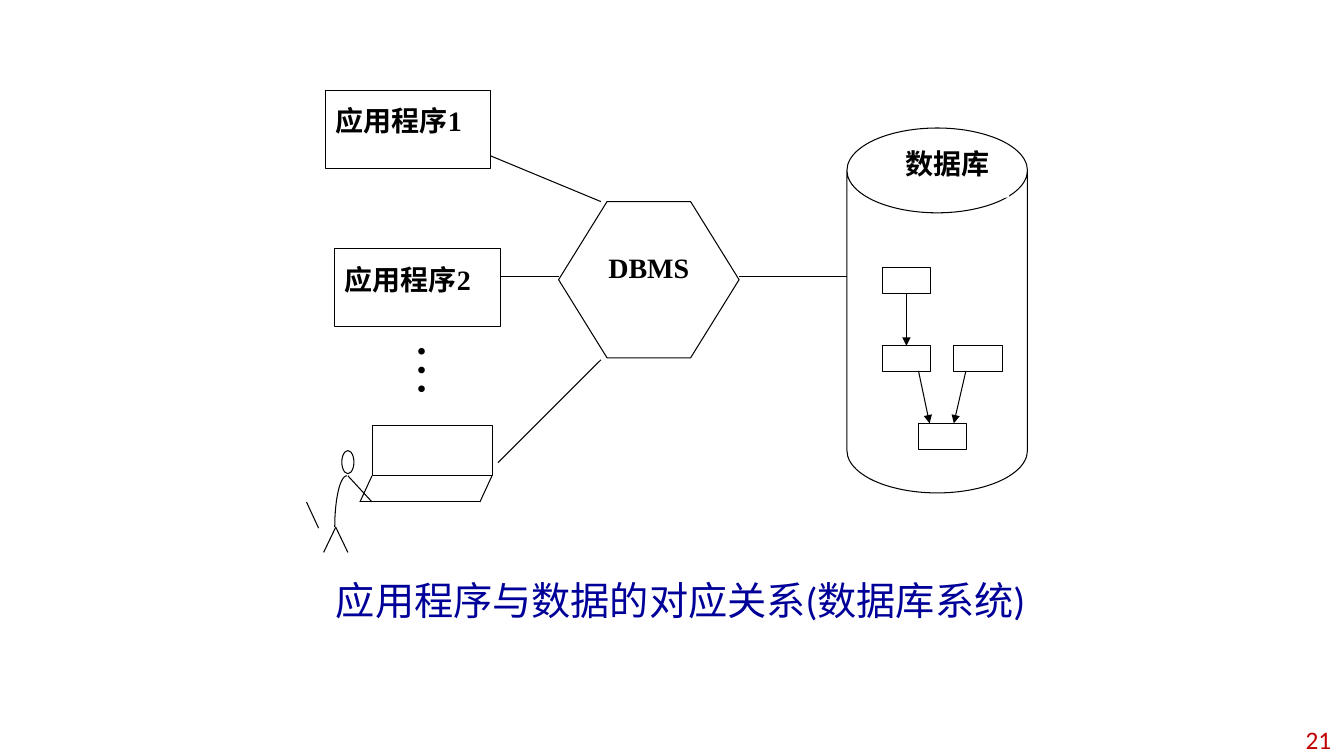
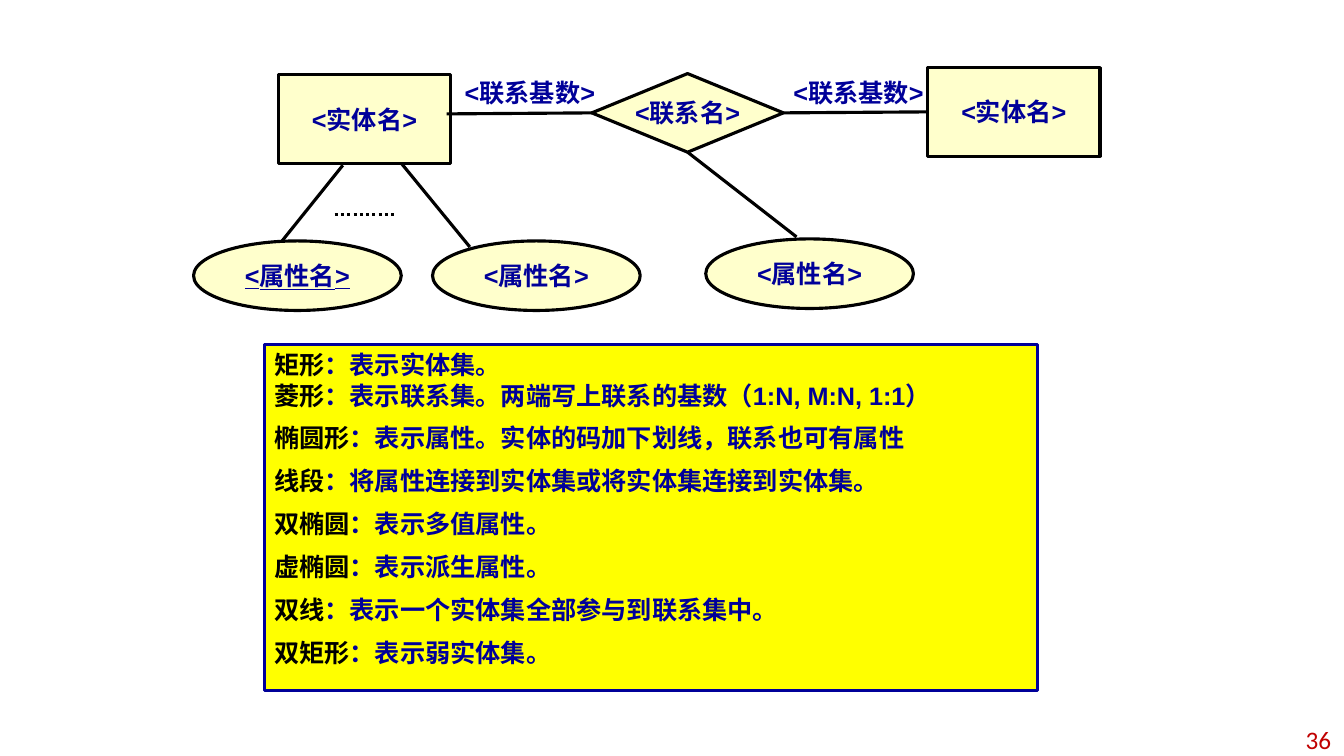
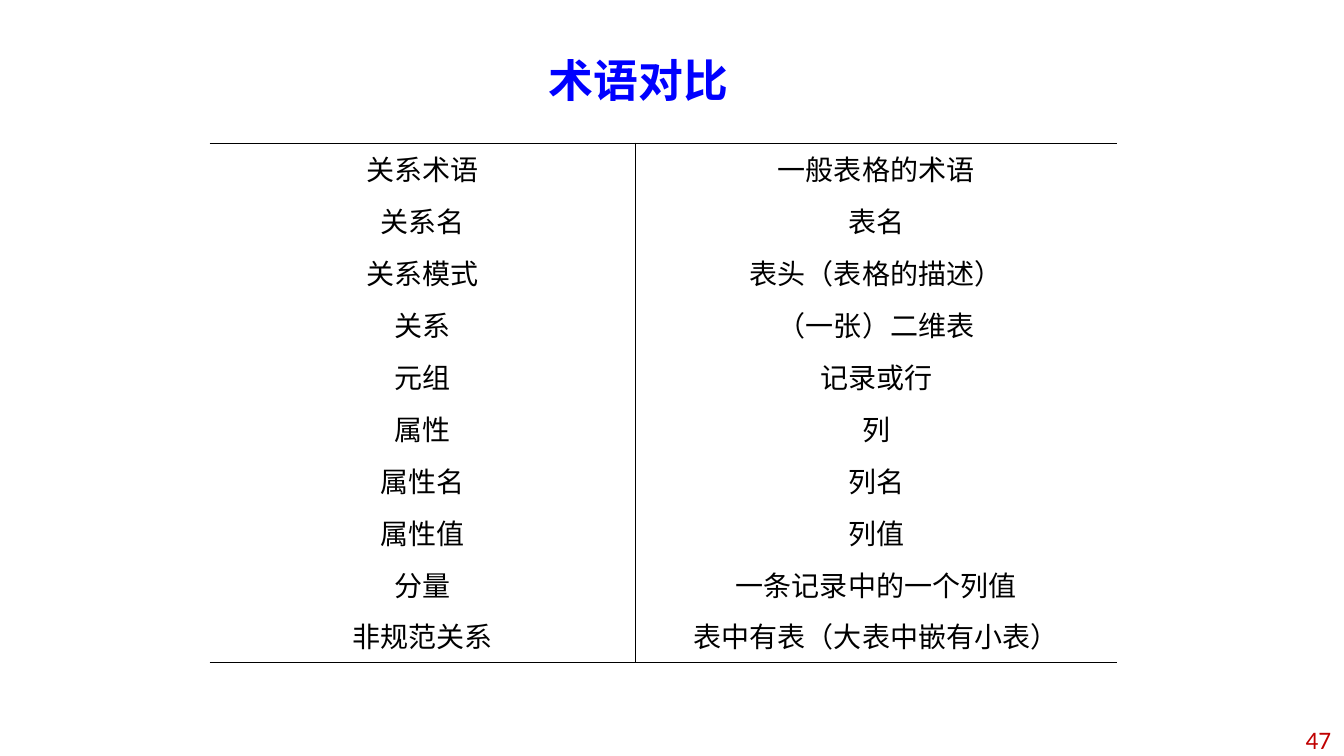
from math import cos, pi, sin

from pptx import Presentation
from pptx.dml.color import RGBColor
from pptx.enum.dml import MSO_LINE
from pptx.enum.lang import MSO_LANGUAGE_ID
from pptx.enum.shapes import MSO_CONNECTOR, MSO_SHAPE
from pptx.enum.text import MSO_ANCHOR, PP_ALIGN
from pptx.oxml.ns import qn
from pptx.oxml.xmlchemy import OxmlElement
from pptx.util import Inches, Pt

COLORS = {
    "black": "000000",
    "white": "FFFFFF",
    "navy": "000099",
    "blue": "0000FF",
    "red": "C00000",
    "cream": "FFFFCC",
    "yellow": "FFFF00",
}
SERIF, SANS, BODY = "Times New Roman", "Arial", "Calibri"
THIN, THICK = 0.75, 2.25
TITLE_ONLY, BLANK = 5, 6
TOP, LEFT, BOTTOM, RIGHT = range(4)

SYMBOLS = [
    [("矩形", "：表示实体集。"), ("菱形", "：表示联系集。两端写上联系的基数（1:N, M:N, 1:1）")],
    [("椭圆形", "：表示属性。实体的码加下划线，联系也可有属性")],
    [("线段", "：将属性连接到实体集或将实体集连接到实体集。")],
    [("双椭圆", "：表示多值属性。")],
    [("虚椭圆", "：表示派生属性。")],
    [("双线", "：表示一个实体集全部参与到联系集中。")],
    [("双矩形", "：表示弱实体集。")],
]
TERMS = [
    ("关系术语", "一般表格的术语"),
    ("关系名", "表名"),
    ("关系模式", "表头（表格的描述）"),
    ("关系", "（一张）二维表"),
    ("元组", "记录或行"),
    ("属性", "列"),
    ("属性名", "列名"),
    ("属性值", "列值"),
    ("分量", "一条记录中的一个列值"),
    ("非规范关系", "表中有表（大表中嵌有小表）"),
]


def rgb(name):
    """Return a palette colour."""
    return RGBColor.from_string(COLORS[name])


def add_span(para, text, size, font, color, bold=False, underline=None):
    """Append one formatted run to a paragraph."""
    span = para.add_run()
    span.text = text
    span.font.size = Pt(size)
    span.font.name = font
    span.font.color.rgb = rgb(color)
    span.font.bold = bold
    span.font.underline = underline
    span.font.language_id = MSO_LANGUAGE_ID.SIMPLIFIED_CHINESE


def set_frame(box, anchor=MSO_ANCHOR.TOP, wrap=True, margins=(0.1, 0.05, 0.1, 0.05)):
    """Set the anchor, wrapping and margins of a text frame and return it."""
    frame = box.text_frame
    frame.word_wrap = wrap
    frame.vertical_anchor = anchor
    frame.margin_left, frame.margin_top, frame.margin_right, frame.margin_bottom = map(Inches, margins)
    return frame


def write_line(frame, align, text, *style, **options):
    """Write a single aligned line in a text frame."""
    para = frame.paragraphs[0]
    para.alignment = align
    add_span(para, text, *style, **options)


def add_text(page, area, align, text, *style, anchor=MSO_ANCHOR.TOP, **options):
    """Add a text box with one paragraph."""
    box = page.shapes.add_textbox(*map(Inches, area))
    write_line(set_frame(box, anchor), align, text, *style, **options)
    return box


def add_box(page, kind, area, fill="white", line="black", weight=THIN):
    """Add a filled preset shape with an optional outline."""
    box = page.shapes.add_shape(kind, *map(Inches, area))
    box.shadow.inherit = False
    box.fill.solid()
    box.fill.fore_color.rgb = rgb(fill)
    if line:
        box.line.color.rgb = rgb(line)
        box.line.width = Pt(weight)
    else:
        box.line.fill.background()
    return box


def add_line(page, start, end, weight=THIN, arrow=False):
    """Add a straight black connector between two points."""
    line = page.shapes.add_connector(MSO_CONNECTOR.STRAIGHT, *map(Inches, (*start, *end)))
    line.line.color.rgb = rgb("black")
    line.line.width = Pt(weight)
    if arrow:
        tail = OxmlElement("a:tailEnd")
        tail.set("type", "triangle")
        line.line._get_or_add_ln().append(tail)
    line.element.spPr.append(OxmlElement("a:effectLst"))
    return line


def add_page(deck, layout, number):
    """Add a slide with its page number."""
    page = deck.slides.add_slide(deck.slide_layouts[layout])
    add_text(page, (10.19, 7.2, 3.11, 0.27), PP_ALIGN.RIGHT, number, 18, BODY, "red",
             anchor=MSO_ANCHOR.MIDDLE)
    return page


def set_title(page, area, text, *style, **options):
    """Place and format the title placeholder."""
    title = page.shapes.title
    title.left, title.top, title.width, title.height = map(Inches, area)
    write_line(set_frame(title), PP_ALIGN.CENTER, text, *style, **options)


def add_user(page):
    """Draw a person working at a terminal."""
    add_box(page, MSO_SHAPE.RECTANGLE, (3.69, 4.22, 1.19, 0.5))
    add_box(page, MSO_SHAPE.FLOWCHART_CONNECTOR, (3.39, 4.47, 0.12, 0.23))
    for start, end in [
        ((2.92, 5.5), (2.92, 5.5)),
        ((3.04, 4.98), (3.16, 5.24)),
        ((3.69, 4.72), (3.57, 4.98)),
        ((4.88, 4.72), (4.76, 4.98)),
        ((3.57, 4.98), (4.76, 4.98)),
        ((3.33, 5.23), (3.45, 5.48)),
        ((3.33, 5.23), (3.21, 5.48)),
        ((3.45, 4.72), (3.69, 4.98)),
    ]:
        add_line(page, start, end)
    steps = 16
    angles = [pi / 2 * step / steps for step in range(steps + 1)]
    points = [(Inches(3.44 - 0.12 * sin(angle)), Inches(5.23 - 0.51 * cos(angle))) for angle in angles]
    builder = page.shapes.build_freeform(*points[0])
    builder.add_line_segments(points[1:], close=False)
    back = builder.convert_to_shape()
    back.shadow.inherit = False
    back.fill.background()
    back.line.color.rgb = rgb("black")
    back.line.width = Pt(THIN)


def add_database(page):
    """Draw the database cylinder and its linked records."""
    can = add_box(page, MSO_SHAPE.CAN, (8.4, 1.27, 1.79, 3.62))
    can.adjustments[0] = 0.47
    label = add_box(page, MSO_SHAPE.RECTANGLE, (8.78, 1.45, 1.23, 0.51), line=None)
    write_line(set_frame(label, margins=(0, 0, 0, 0)), PP_ALIGN.CENTER, "数据库", 20, SERIF, "black", bold=True)
    places = [(8.75, 2.65), (8.75, 3.43), (9.46, 3.43), (9.11, 4.2)]
    records = [add_box(page, MSO_SHAPE.RECTANGLE, (*place, 0.48, 0.26)) for place in places]
    link = add_line(page, (8.99, 2.91), (8.99, 3.43), arrow=True)
    link.begin_connect(records[0], BOTTOM)
    link.end_connect(records[1], TOP)
    add_line(page, (9.11, 3.68), (9.22, 4.2), arrow=True)
    add_line(page, (9.58, 3.68), (9.46, 4.2), arrow=True)


def build_system(deck):
    """Build the slide on applications and data."""
    page = add_page(deck, TITLE_ONLY, "21")
    set_title(page, (3.19, 5.67, 7.12, 1.05), "应用程序与数据的对应关系(数据库系统)", 28, BODY, "navy")
    add_user(page)
    hexagon = add_box(page, MSO_SHAPE.HEXAGON, (5.54, 2, 1.79, 1.55))
    hexagon.adjustments[0] = 0.31
    write_line(set_frame(hexagon, margins=(0, 0.21, 0, 0.05)), PP_ALIGN.CENTER,
               "DBMS", 20, SERIF, "black", bold=True)
    add_database(page)
    for start, end in [
        ((7.33, 2.74), (8.4, 2.74)),
        ((4.85, 1.54), (5.96, 2)),
        ((4.94, 2.74), (5.54, 2.74)),
        ((4.94, 4.59), (5.96, 3.57)),
    ]:
        add_line(page, start, end)
    for left, top, name in [(3.23, 0.9, "应用程序1"), (3.32, 2.47, "应用程序2")]:
        program = add_box(page, MSO_SHAPE.RECTANGLE, (left, top, 1.64, 0.77))
        write_line(set_frame(program, margins=(0.1, 0.13, 0.1, 0.05)), PP_ALIGN.LEFT,
                   name, 20, SERIF, "black", bold=True)
    dots = add_text(page, (3.86, 3.3, 0.91, 1.07), PP_ALIGN.LEFT, "…", 40, SERIF, "black")
    dots.text_frame._txBody.find(qn("a:bodyPr")).set("vert", "eaVert")


def add_symbol(page, kind, area, text, underline=None):
    """Add a labelled symbol of the entity-relationship diagram."""
    box = add_box(page, kind, area, "cream", weight=THICK)
    write_line(set_frame(box, MSO_ANCHOR.MIDDLE, wrap=False), PP_ALIGN.CENTER,
               text, 18, SANS, "navy", bold=True, underline=underline)
    return box


def add_legend(page):
    """Add the panel that explains each symbol."""
    panel = add_box(page, MSO_SHAPE.RECTANGLE, (2.62, 3.42, 7.67, 3.43), "yellow", "navy", THICK)
    frame = set_frame(panel)
    for index, entries in enumerate(SYMBOLS):
        para = frame.add_paragraph() if index else frame.paragraphs[0]
        para.alignment = PP_ALIGN.LEFT
        if index:
            para.space_before = Pt(9)
        for position, (symbol, meaning) in enumerate(entries):
            if position:
                para.add_line_break()
            add_span(para, symbol, 18, SANS, "black", bold=True)
            add_span(para, meaning, 18, SANS, "navy", bold=True)


def build_diagram(deck):
    """Build the slide on the symbols of the diagram."""
    page = add_page(deck, BLANK, "36")
    add_legend(page)
    add_symbol(page, MSO_SHAPE.RECTANGLE, (2.76, 0.74, 1.71, 0.88), "<实体名>")
    entity = add_symbol(page, MSO_SHAPE.RECTANGLE, (9.2, 0.67, 1.71, 0.88), "<实体名>")
    relation = add_symbol(page, MSO_SHAPE.FLOWCHART_DECISION, (5.87, 0.73, 1.9, 0.78), "<联系名>")
    for left, top, underline in [(1.92, 2.39, True), (4.29, 2.39, None), (7, 2.37, None)]:
        add_symbol(page, MSO_SHAPE.OVAL, (left, top, 2.06, 0.69), "<属性名>", underline)
    for left in (4.51, 7.77):
        add_text(page, (left, 0.72, 1.49, 0.36), PP_ALIGN.CENTER, "<联系基数>", 18, SANS, "navy", bold=True)
    add_line(page, (4.43, 1.13), (5.87, 1.13), THICK).end_connect(relation, LEFT)
    right = add_line(page, (7.77, 1.12), (9.2, 1.11), THICK)
    right.begin_connect(relation, RIGHT)
    right.end_connect(entity, LEFT)
    add_line(page, (6.82, 1.51), (7.9, 2.35), THICK).begin_connect(relation, BOTTOM)
    add_line(page, (2.79, 2.4), (3.4, 1.64), THICK)
    add_line(page, (4.66, 2.45), (3.98, 1.62), THICK)
    add_line(page, (3.32, 2.13), (3.92, 2.13), THICK).line.dash_style = MSO_LINE.ROUND_DOT


def set_borders(cell, sides):
    """Draw black borders on the given sides and hide the others."""
    properties = cell._tc.get_or_add_tcPr()
    for side in "LRTB":
        border = OxmlElement(f"a:ln{side}")
        border.set("w", str(Pt(1)))
        if side in sides:
            fill = OxmlElement("a:solidFill")
            color = OxmlElement("a:srgbClr")
            color.set("val", COLORS["black"])
            fill.append(color)
        else:
            fill = OxmlElement("a:noFill")
        border.append(fill)
        properties.append(border)


def build_terms(deck):
    """Build the slide that compares the terms."""
    page = add_page(deck, TITLE_ONLY, "47")
    set_title(page, (5.17, 0.47, 2.33, 0.64), "术语对比", 32, SANS, "blue", bold=True)
    area = map(Inches, (2.08, 1.42, 9, 5.15))
    table = page.shapes.add_table(len(TERMS), 2, *area).table
    table.first_row = table.horz_banding = False
    for column, width in zip(table.columns, (4.22, 4.78)):
        column.width = Inches(width)
    last = len(TERMS) - 1
    for row, terms in enumerate(TERMS):
        for column, term in enumerate(terms):
            cell = table.cell(row, column)
            sides = "RL"[column] + ("T" if row == 0 else "") + ("B" if row == last else "")
            set_borders(cell, sides)
            cell.fill.background()
            write_line(cell.text_frame, PP_ALIGN.CENTER, term, 20, SERIF, "black")


def main():
    """Build and save the deck."""
    deck = Presentation()
    deck.slide_width, deck.slide_height = Inches(13.33), Inches(7.5)
    build_system(deck)
    build_diagram(deck)
    build_terms(deck)
    deck.save("out.pptx")


if __name__ == "__main__":
    main()
